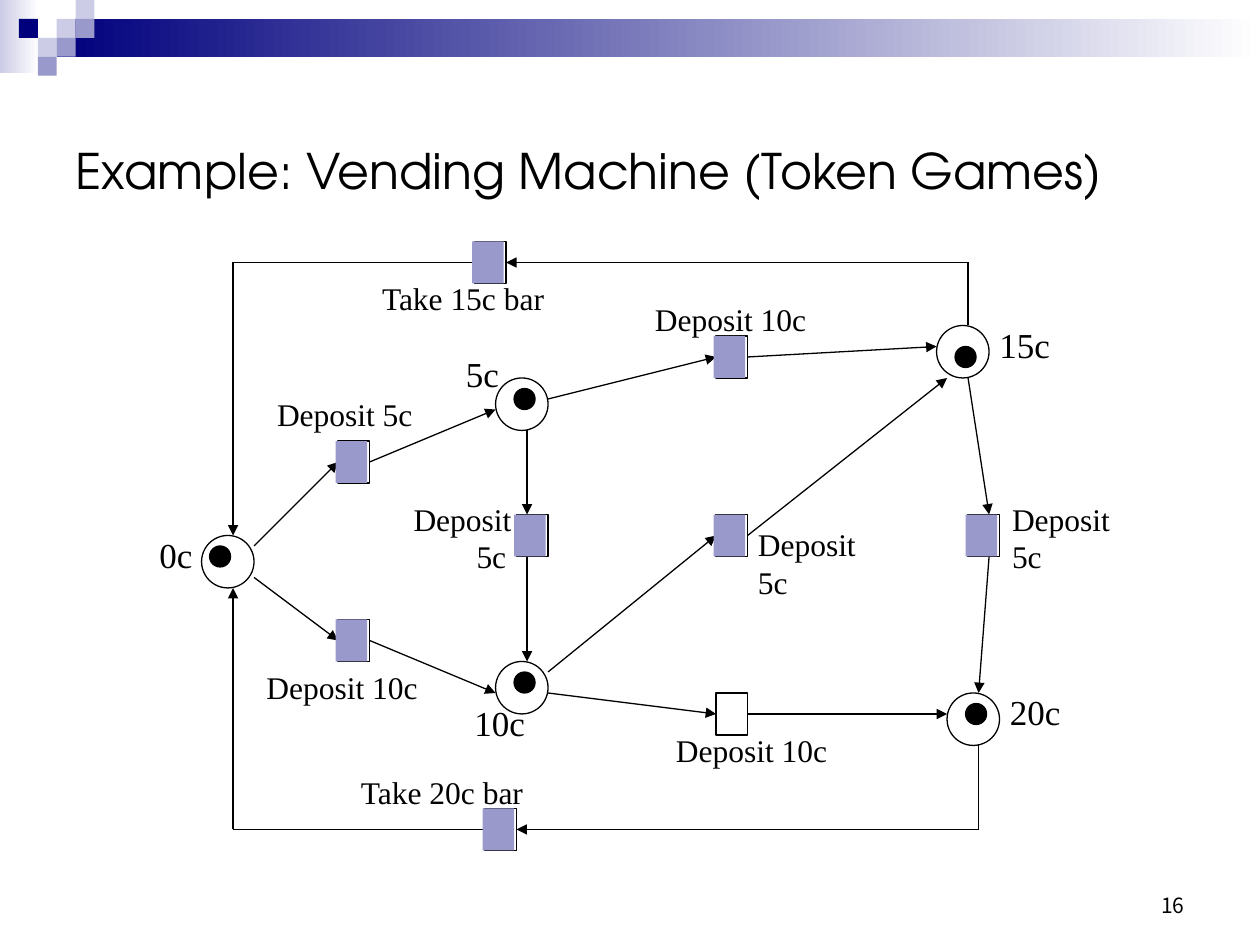
from lxml import etree
from pptx import Presentation
from pptx.dml.color import RGBColor
from pptx.enum.shapes import MSO_CONNECTOR, MSO_SHAPE
from pptx.enum.text import MSO_ANCHOR, MSO_AUTO_SIZE, PP_ALIGN
from pptx.oxml.ns import qn
from pptx.util import Inches, Pt

RECT, OVAL = MSO_SHAPE.RECTANGLE, MSO_SHAPE.OVAL
STRAIGHT = MSO_CONNECTOR.STRAIGHT
TOP, MIDDLE, BOTTOM = MSO_ANCHOR.TOP, MSO_ANCHOR.MIDDLE, MSO_ANCHOR.BOTTOM
LEFT, RIGHT = PP_ALIGN.LEFT, PP_ALIGN.RIGHT
GROW = MSO_AUTO_SIZE.SHAPE_TO_FIT_TEXT

THEME = {
    "ink": "000000", "navy": "00007D", "mid": "9999CC", "pale": "CCCCE6",
    "white": "FFFFFF", "line": 0.75,
    "title": ("TeX Gyre Adventor", 28), "page": ("Noto Sans CJK KR", 12),
    "place": ("Times New Roman", 20), "step": ("Times New Roman", 18),
}

TITLE = "Example: Vending Machine (Token Games)"
PAGE = "16"

# Header: gradient bars in inches, then squares as column, row, colour
BARS = [(0, 0, 0.31, 0.58, "pale"), (0.45, 0.15, 9.55, 0.3, "navy")]
SQUARE = 0.15
SQUARES = [(3, 1, "pale"), (4, 0, "pale"), (4, 1, "mid"), (2, 2, "pale"),
           (1, 1, "navy"), (3, 2, "mid"), (2, 3, "mid")]

# The net lies on a grid of 1/12 inch; all entries below are column, row
CELL, ORIGIN, SHIFT = 1 / 12, 1.6, 0.02
PLACE, STEP, TOKEN = (5, 5), (3, 4), (2, 2)
PLACES = [(0, 51), (28, 36), (28, 63), (70, 31), (71, 66)]
TOKENS = [(1, 52), (30, 37), (30, 64), (72, 33), (73, 67)]
FILLED = [(13, 42), (13, 59), (30, 49), (49, 32), (49, 49), (73, 49),
          (26, 23), (27, 77)]
OPEN = [(49, 66)]

# Each route ends in an arrowhead
ROUTES = [
    [(5, 52), (13, 44)], [(5, 55), (13, 61)],
    [(16, 44), (28, 39)], [(16, 61), (28, 66)],
    [(33, 38), (49, 34)], [(52, 34), (70, 33)],
    [(31, 41), (31, 49)], [(31, 53), (31, 63)],
    [(33, 64), (49, 51)], [(52, 51), (71, 36)],
    [(33, 66), (49, 68)], [(52, 68), (71, 68)],
    [(73, 36), (75, 49)], [(75, 53), (74, 66)],
    [(73, 31), (73, 25), (29, 25)], [(26, 25), (3, 25), (3, 51)],
    [(74, 71), (74, 79), (30, 79)], [(27, 79), (3, 79), (3, 56)],
]

# Text, column, row, width in inches, hanging indent in inches
NAMES = [("0c", -5.2, 50.2, 0.46, 0), ("5c", 24, 33, 0.46, 0),
         ("10c", 24.8, 66.2, 0.6, 0), ("15c", 74.8, 30.2, 0.6, 0),
         ("20c", 75.8, 65.2, 0.6, 0)]
ACTS = [("Take 15c bar", 16, 26, 1.51, 0), ("Take 20c bar", 14, 73, 1.51, 0),
        ("Deposit 5c", 6, 37, 1.28, 0), ("Deposit 10c", 5, 63, 1.4, 0),
        ("Deposit 10c", 42, 28, 1.4, 0), ("Deposit 10c", 44, 69, 1.4, 0),
        ("Deposit\v5c", 19, 47, 0.98, 0.5),
        ("Deposit\v5c", 51.8, 49.4, 0.98, 0),
        ("Deposit\v5c", 76, 47, 0.98, 0)]


def color(name):
    return RGBColor.from_string(THEME[name])


def spot(col, row):
    return ORIGIN + col * CELL, row * CELL


def shape(slide, kind, x, y, w, h, fill=None, line=False, fade=False):
    item = slide.shapes.add_shape(
        kind, Inches(x), Inches(y), Inches(w), Inches(h))
    item.shadow.inherit = False
    if fade:
        item.fill.gradient()
        item.fill.gradient_angle = 0
        for stop, tone in zip(item.fill.gradient_stops, (fill, "white")):
            stop.color.rgb = color(tone)
    elif fill:
        item.fill.solid()
        item.fill.fore_color.rgb = color(fill)
    else:
        item.fill.background()
    if line:
        item.line.color.rgb = color("ink")
        item.line.width = Pt(THEME["line"])
    else:
        item.line.fill.background()


def node(slide, kind, cell, size, shift=0, **look):
    x, y = spot(*cell)
    shape(slide, kind, x - shift, y, size[0] * CELL, size[1] * CELL, **look)


def route(slide, points):
    for start, end in zip(points, points[1:]):
        ends = [Inches(v) for v in (*spot(*start), *spot(*end))]
        link = slide.shapes.add_connector(STRAIGHT, *ends)
        link.line.color.rgb = color("ink")
        link.line.width = Pt(THEME["line"])
        if end == points[-1]:
            etree.SubElement(link.line._get_or_add_ln(), qn("a:tailEnd"),
                             type="triangle")
        etree.SubElement(link._element.spPr, qn("a:effectLst"))


def write(slide, text, x, y, w, h, style, anchor=TOP, align=LEFT, wrap=True):
    box = slide.shapes.add_textbox(Inches(x), Inches(y), Inches(w), Inches(h))
    frame = box.text_frame
    frame.word_wrap = wrap
    frame.vertical_anchor = anchor
    if not wrap:
        frame.auto_size = GROW
    para = frame.paragraphs[0]
    para.text = text
    para.alignment = align
    for run in para.runs:
        run.font.name, size = THEME[style]
        run.font.size = Pt(size)
        run.font.color.rgb = color("ink")
    return para


def label(slide, text, col, row, width, hang, style):
    height = 0.7 if "\v" in text else 0.4
    para = write(slide, text, *spot(col, row), width, height, style,
                 wrap=False)
    if hang:
        props = para._p.get_or_add_pPr()
        props.set("marL", str(Inches(hang)))
        props.set("indent", str(-Inches(hang)))


def main():
    deck = Presentation()
    deck.slide_width, deck.slide_height = Inches(10), Inches(7.5)
    slide = deck.slides.add_slide(deck.slide_layouts[6])

    for x, y, w, h, tone in BARS:
        shape(slide, RECT, x, y, w, h, fill=tone, fade=True)
    for col, row, tone in SQUARES:
        shape(slide, RECT, col * SQUARE, row * SQUARE, SQUARE, SQUARE,
              fill=tone)
    write(slide, PAGE, 7.17, 6.83, 2.33, 0.5, "page", BOTTOM, RIGHT)
    write(slide, TITLE, 0.5, 0.7, 9, 1.3, "title", MIDDLE)

    for cell in PLACES:
        node(slide, OVAL, cell, PLACE, line=True)
    for cell in FILLED + OPEN:
        node(slide, RECT, cell, STEP, line=True)
    for points in ROUTES:
        route(slide, points)
    for style, group in (("place", NAMES), ("step", ACTS)):
        for entry in group:
            label(slide, *entry, style)
    for cell in FILLED:
        node(slide, RECT, cell, STEP, SHIFT, fill="mid")
    for cell in TOKENS:
        node(slide, OVAL, cell, TOKEN, SHIFT, fill="ink", line=True)

    deck.save("out.pptx")


if __name__ == "__main__":
    main()
